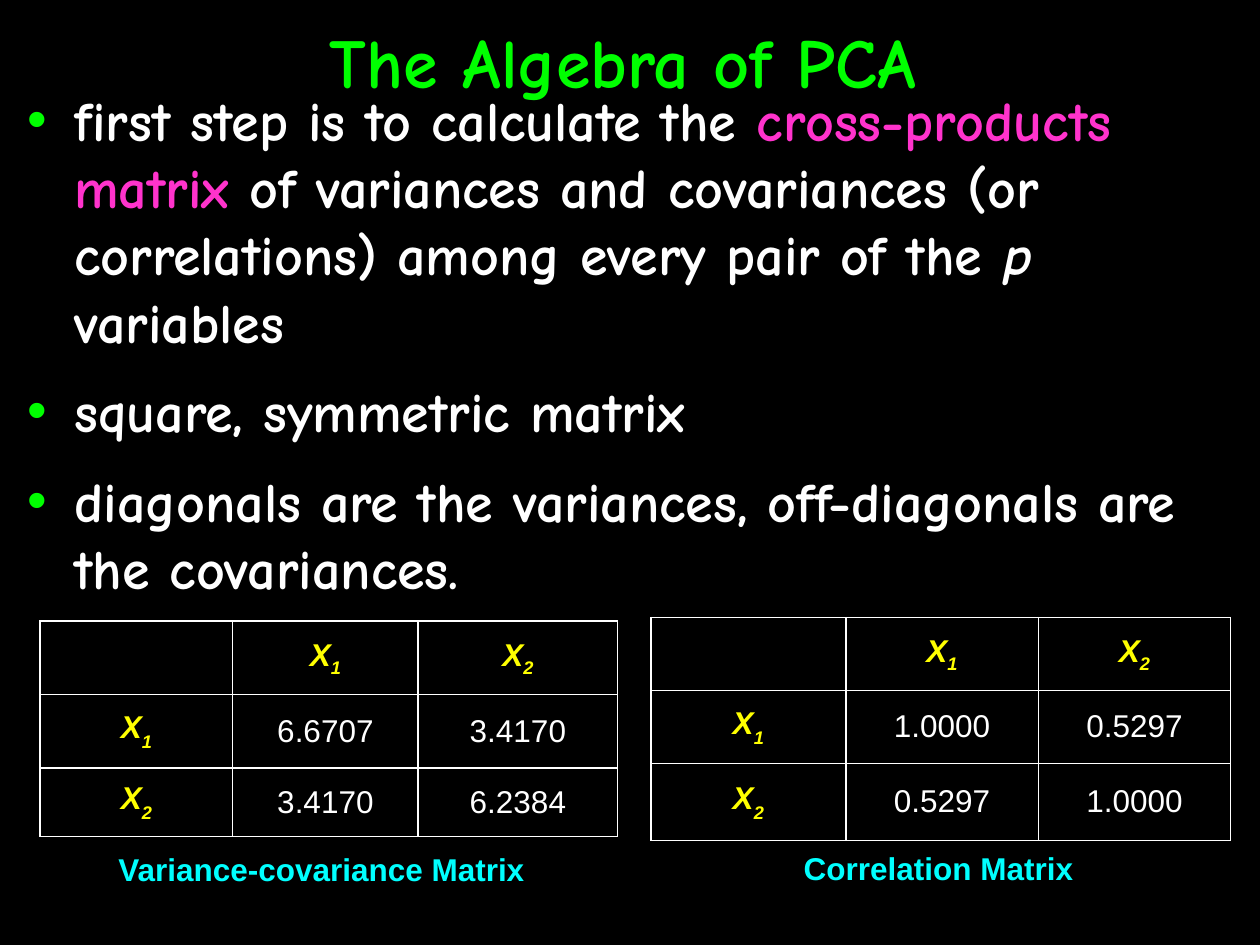
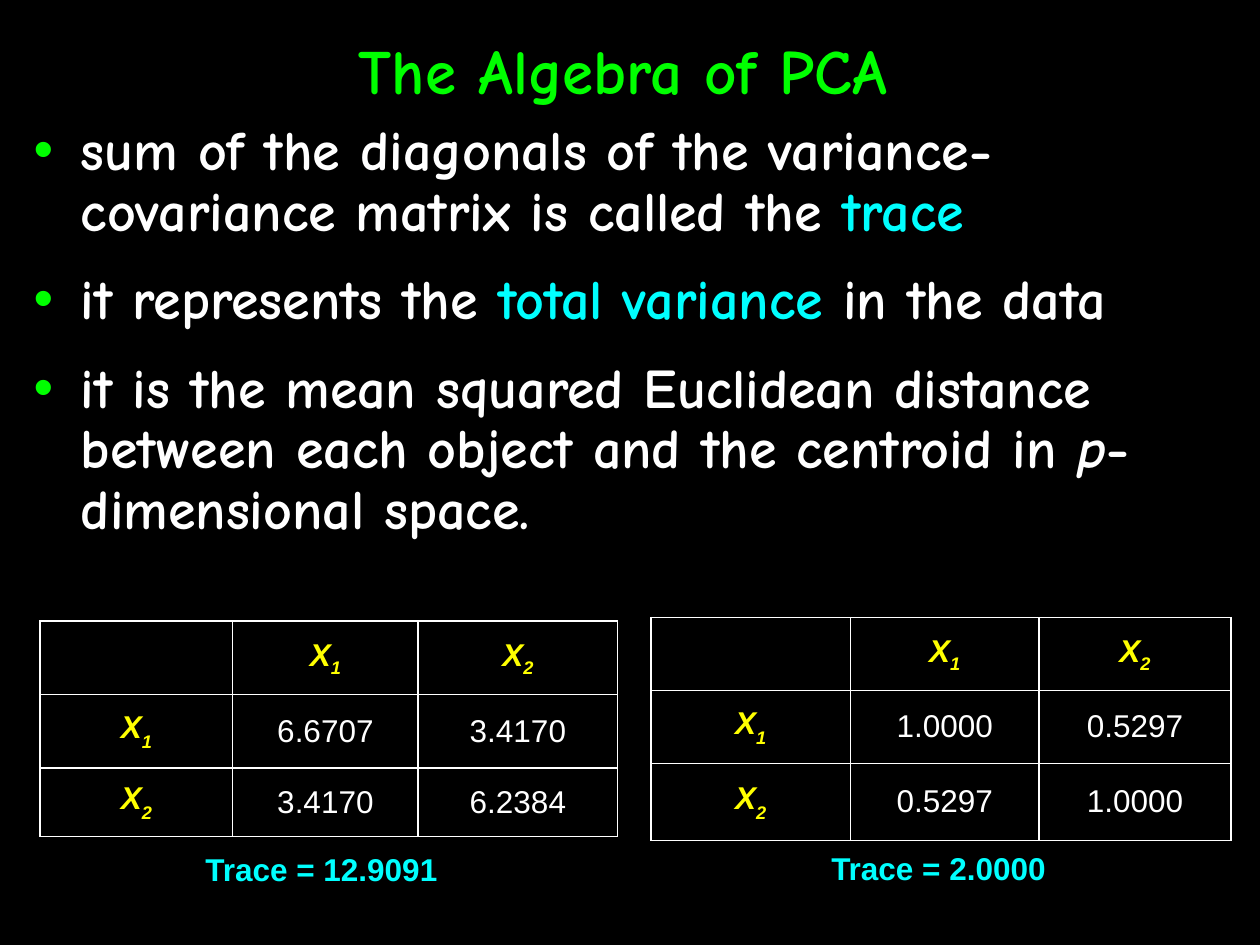
from lxml.etree import SubElement
from pptx import Presentation
from pptx.dml.color import RGBColor
from pptx.enum.text import MSO_ANCHOR, PP_ALIGN
from pptx.oxml.ns import qn
from pptx.util import Cm, Pt

BLACK = RGBColor(0x00, 0x00, 0x00)
WHITE = RGBColor(0xFF, 0xFF, 0xFF)
GREEN = RGBColor(0x00, 0xFF, 0x00)
PINK = RGBColor(0xFF, 0x33, 0xCC)
CYAN = RGBColor(0x00, 0xFF, 0xFF)
YELLOW = RGBColor(0xFF, 0xFF, 0x00)
HEAD_FONT, DATA_FONT = "Comic Neue", "Arial"

TITLE = "The Algebra of PCA"
VARIABLES = ["1", "2"]
COVARIANCES = [["6.6707", "3.4170"], ["3.4170", "6.2384"]]
CORRELATIONS = [["1.0000", "0.5297"], ["0.5297", "1.0000"]]

# Lengths in cm. A bullet is a list of runs: (text, colour, italic).
# A matrix has its column widths, its caption and the caption's width.
SLIDES = [
    {
        "title_size": 40, "title_height": 2.64,
        "body": (0.3, 1.6, 24.97, 16.31), "line_spacing": 1.0, "gap": 12.8,
        "bullets": [
            [("first step is to calculate the ", WHITE, False),
             ("cross-products matrix", PINK, False),
             (" of variances and covariances (or correlations) among every pair of the ",
              WHITE, False),
             ("p", WHITE, True),
             (" variables", WHITE, False)],
            [("square, symmetric matrix", WHITE, False)],
            [("diagonals are the variances, off-diagonals are the covariances.",
              WHITE, False)],
        ],
        "matrices": [
            ((3.88, 3.74, 4.02), "Variance-covariance Matrix", 8.74),
            ((3.93, 3.88, 3.88), "Correlation Matrix", 5.94),
        ],
    },
    {
        "title_size": 36, "title_height": 3.0,
        "body": (0.43, 2.34, 24.97, 10.59), "line_spacing": 0.9, "gap": 16,
        "bullets": [
            [("sum of the diagonals of the variance-covariance matrix is called the ",
              WHITE, False),
             ("trace", CYAN, False)],
            [("it represents the ", WHITE, False),
             ("total variance", CYAN, False),
             (" in the data", WHITE, False)],
            [("it is the mean squared Euclidean distance between each object "
              "and the centroid in ", WHITE, False),
             ("p", WHITE, True),
             ("-dimensional space.", WHITE, False)],
        ],
        "matrices": [
            ((3.88, 3.74, 4.02), "Trace = 12.9091", 5.23),
            ((4.03, 3.79, 3.88), "Trace = 2.0000", 4.88),
        ],
    },
]

# left, top, row heights, values, caption centre, caption top
MATRIX_PLACES = [
    (0.81, 12.52, (1.48, 1.48, 1.38), COVARIANCES, 6.48, 17.02),
    (13.12, 12.45, (1.47, 1.47, 1.55), CORRELATIONS, 18.92, 16.99),
]


def style_run(r, font, size, color, bold=True, italic=False):
    f = r.font
    f.name, f.size, f.bold, f.italic = font, Pt(size), bold, italic
    f.color.rgb = color


def add_text_frame(s, left, top, width, height, wrap=True):
    tf = s.shapes.add_textbox(Cm(left), Cm(top), Cm(width), Cm(height)).text_frame
    tf.word_wrap = wrap
    return tf


def add_centred_line(tf, text, font, size, color):
    p = tf.paragraphs[0]
    p.text = text
    p.alignment = PP_ALIGN.CENTER
    style_run(p.runs[0], font, size, color)


def set_bullet(p):
    pPr = p._p.get_or_add_pPr()
    pPr.set("marL", str(Cm(0.95)))
    pPr.set("indent", str(-Cm(0.95)))
    color = SubElement(pPr, qn("a:buClr"))
    SubElement(color, qn("a:srgbClr"), val=str(GREEN))
    SubElement(pPr, qn("a:buFont"), typeface=DATA_FONT)
    SubElement(pPr, qn("a:buChar"), char="•")


def add_bullets(s, content):
    tf = add_text_frame(s, *content["body"])
    for i, runs in enumerate(content["bullets"]):
        p = tf.add_paragraph() if i else tf.paragraphs[0]
        p.line_spacing = content["line_spacing"]
        p.space_before = Pt(content["gap"] if i else 0)
        set_bullet(p)
        for text, color, italic in runs:
            r = p.add_run()
            r.text = text
            style_run(r, HEAD_FONT, 32, color, italic=italic)


def set_borders(cell):
    tcPr = cell._tc.get_or_add_tcPr()
    for i, side in enumerate(("a:lnL", "a:lnR", "a:lnT", "a:lnB")):
        ln = tcPr.makeelement(qn(side), {"w": str(Pt(1))})
        fill = SubElement(ln, qn("a:solidFill"))
        SubElement(fill, qn("a:srgbClr"), val=str(WHITE))
        tcPr.insert(i, ln)


def write_variable(p, index, baseline):
    """Write X with a subscript index."""
    for text in ("X", index):
        r = p.add_run()
        r.text = text
        style_run(r, DATA_FONT, 18, YELLOW, italic=True)
    r._r.get_or_add_rPr().set("baseline", str(baseline * 1000))


def add_matrix(s, place, widths, caption, caption_width):
    left, top, heights, values, centre, caption_top = place
    table = s.shapes.add_table(len(heights), len(widths), Cm(left), Cm(top),
                               Cm(sum(widths)), Cm(sum(heights))).table
    table.first_row = table.horz_banding = False
    for column, width in zip(table.columns, widths):
        column.width = Cm(width)
    for i, height in enumerate(heights):
        table.rows[i].height = Cm(height)
        for j in range(len(widths)):
            cell = table.cell(i, j)
            cell.fill.background()
            cell.vertical_anchor = MSO_ANCHOR.MIDDLE
            set_borders(cell)
            p = cell.text_frame.paragraphs[0]
            p.alignment = PP_ALIGN.CENTER
            if i and j:
                p.text = values[i - 1][j - 1]
                style_run(p.runs[0], DATA_FONT, 18, WHITE, bold=False)
            elif j:
                write_variable(p, VARIABLES[j - 1], -25)
            elif i:
                write_variable(p, VARIABLES[i - 1], -30)
    tf = add_text_frame(s, centre - caption_width / 2, caption_top,
                        caption_width, 1.02, wrap=False)
    add_centred_line(tf, caption, DATA_FONT, 18, CYAN)


def add_slide(prs, content):
    s = prs.slides.add_slide(prs.slide_layouts[6])
    s.background.fill.solid()
    s.background.fill.fore_color.rgb = BLACK
    tf = add_text_frame(s, 0.1, -0.1, 24.92, content["title_height"])
    tf.vertical_anchor = MSO_ANCHOR.MIDDLE
    add_centred_line(tf, TITLE, HEAD_FONT, content["title_size"], GREEN)
    add_bullets(s, content)
    for place, matrix in zip(MATRIX_PLACES, content["matrices"]):
        add_matrix(s, place, *matrix)


def main():
    prs = Presentation()
    prs.slide_width, prs.slide_height = Cm(25.4), Cm(19.05)
    for content in SLIDES:
        add_slide(prs, content)
    prs.save("out.pptx")


if __name__ == "__main__":
    main()
